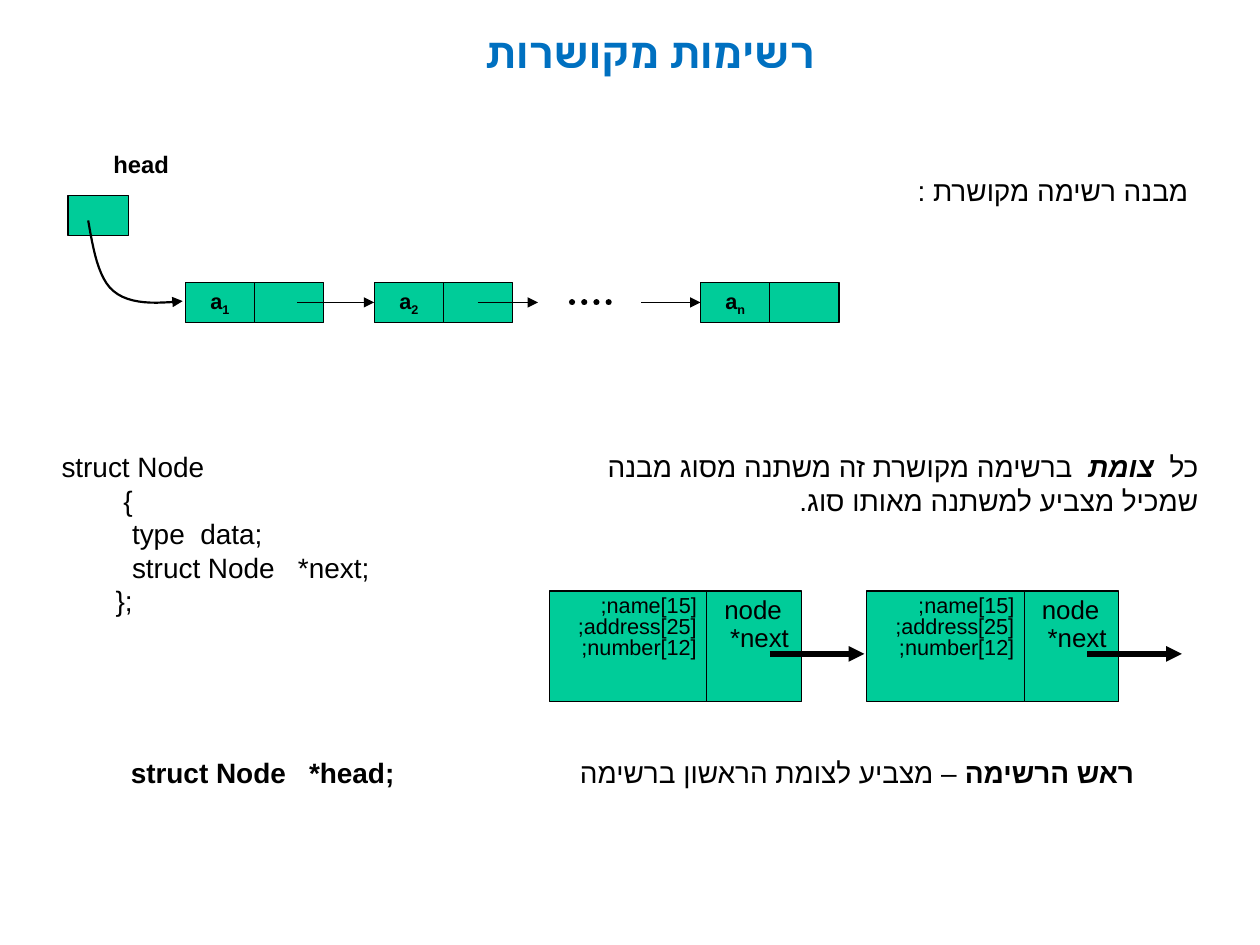
from lxml import etree
from pptx import Presentation
from pptx.dml.color import RGBColor
from pptx.enum import dml, shapes, text
from pptx.oxml import ns
from pptx.util import Inches, Pt

COLORS = {"title": "0070C0", "ink": "000000", "node": "00CC99"}
ALIGN = {"l": text.PP_ALIGN.LEFT, "c": text.PP_ALIGN.CENTER, "r": text.PP_ALIGN.RIGHT}
CELL_W, CELL_H, CELL_Y = 0.55, 0.32, 2.24
MID_Y = CELL_Y + CELL_H / 2


def color(name):
    return RGBColor.from_string(COLORS[name])


def format_run(r, size, font="Arial", ink="ink", bold=False):
    r.font.size, r.font.name, r.font.bold = Pt(size), font, bold
    r.font.color.rgb = color(ink)
    # Hebrew letters take the complex-script font
    etree.SubElement(r._r.get_or_add_rPr(), ns.qn("a:cs")).set("typeface", font)


def write(sp, lines, size, align="r", rtl=True, spacing=None, margins=(0.1, 0.05), **style):
    """Fill a shape; each line is a list of (text, is_bold) runs or a string."""
    tf = sp.text_frame
    tf.word_wrap = True
    tf.margin_left = tf.margin_right = Inches(margins[0])
    tf.margin_top = tf.margin_bottom = Inches(margins[1])
    for i, line in enumerate(lines):
        p = tf.add_paragraph() if i else tf.paragraphs[0]
        p.alignment = ALIGN[align]
        if rtl:
            p._p.get_or_add_pPr().set("rtl", "1")
        if spacing:
            p.line_spacing = spacing
        runs = [(line, style.get("bold", False))] if isinstance(line, str) else line
        for words, bold in runs:
            r = p.add_run()
            r.text = words
            format_run(r, size, **{**style, "bold": bold})
    return tf


def add_text(s, x, y, w, h, lines, size=16, **options):
    sp = s.shapes.add_textbox(Inches(x), Inches(y), Inches(w), Inches(h))
    return write(sp, lines, size, **options)


def add_box(s, x, y, w, h):
    sp = s.shapes.add_shape(shapes.MSO_SHAPE.RECTANGLE,
                            Inches(x), Inches(y), Inches(w), Inches(h))
    sp.shadow.inherit = False
    sp.fill.solid()
    sp.fill.fore_color.rgb = color("node")
    sp.line.color.rgb = color("ink")
    sp.line.width = Pt(0.75)
    sp.text_frame.vertical_anchor = text.MSO_ANCHOR.TOP
    return sp


def add_arrowhead(sp):
    etree.SubElement(sp.line._get_or_add_ln(), ns.qn("a:tailEnd")).set("type", "triangle")


def add_line(s, x1, x2, y, width=0.75, arrow=True, target=None):
    c = s.shapes.add_connector(shapes.MSO_CONNECTOR.STRAIGHT,
                               Inches(x1), Inches(y), Inches(x2), Inches(y))
    c.line.color.rgb = color("ink")
    c.line.width = Pt(width)
    etree.SubElement(c._element.spPr, ns.qn("a:effectLst"))
    if arrow:
        add_arrowhead(c)
    if target is not None:
        c.end_connect(target, 1)
    return c


def add_list_node(s, x, index):
    """Value cell with a subscript, then the pointer cell."""
    value = add_box(s, x, CELL_Y, CELL_W, CELL_H)
    tf = write(value, [[("a", True), (index, True)]], 12.4, align="c",
               spacing=0.8, margins=(0.09, 0.04))
    tf.vertical_anchor = text.MSO_ANCHOR.MIDDLE
    tf.paragraphs[0].runs[1].font._element.set("baseline", "-25000")
    add_box(s, x + CELL_W, CELL_Y, CELL_W, CELL_H)
    return value


def add_record(s, x):
    """Record with its fields, its next pointer and the arrow leaving it."""
    y, h = 4.69, 0.88
    write(add_box(s, x, y, 1.27, h), ["name[15];", "address[25];", "number[12];"],
          12.4, spacing=0.8)
    write(add_box(s, x + 1.25, y, 0.75, h), ["node   *next"], 14.8, spacing=0.9)
    add_line(s, x + 1.75, x + 2.5, y + 0.5, width=3)


def add_curve(s, start, *segments, steps=12):
    """Open curve through cubic segments, ending in an arrowhead."""
    points, p0 = [], start
    for p1, p2, p3 in segments:
        for t in (i / steps for i in range(1, steps + 1)):
            u = 1 - t
            points.append(tuple(
                Inches(u**3 * a + 3 * u * u * t * b + 3 * u * t * t * c + t**3 * d)
                for a, b, c, d in zip(p0, p1, p2, p3)))
        p0 = p3
    builder = s.shapes.build_freeform(Inches(start[0]), Inches(start[1]))
    builder.add_line_segments(points, close=False)
    sp = builder.convert_to_shape()
    sp.shadow.inherit = False
    sp.fill.background()
    sp.line.color.rgb = color("ink")
    sp.line.width = Pt(1.25)
    add_arrowhead(sp)


def add_linked_list(s):
    add_text(s, 0.47, 1.17, 0.96, 0.33, ["head"], 13.6, spacing=0.9,
             margins=(0.09, 0.04), bold=True)
    add_box(s, 0.54, 1.55, 0.48, CELL_H)
    add_list_node(s, 1.47, "1")
    second = add_list_node(s, 2.97, "2")
    last = add_list_node(s, 5.56, "n")
    add_line(s, 2.36, 2.97, MID_Y, target=second)
    add_line(s, 3.79, 4.27, MID_Y)
    add_line(s, 5.09, 5.56, MID_Y, target=last)
    # Dots for the skipped nodes
    dots = add_line(s, 4.54, 4.88, MID_Y, width=3.5, arrow=False)
    dots.line.dash_style = dml.MSO_LINE.ROUND_DOT
    dots.line._get_or_add_ln().set("cap", "rnd")
    # Pointer from head to the first node
    add_curve(s, (0.7, 1.75),
              ((0.74, 1.98), (0.78, 2.21), (0.9, 2.31)),
              ((1.03, 2.42), (1.24, 2.41), (1.45, 2.39)))


def add_struct_code(s):
    code = [("struct Node", 0), ("{", 0.49), ("type  data;", 0.56),
            ("struct Node   *next;", 0.56), ("};", 0.43)]
    tf = add_text(s, 0.39, 3.52, 3.44, 1.44, [line for line, _ in code],
                  align="l", rtl=False)
    for p, (_, indent) in zip(tf.paragraphs, code):
        p._p.get_or_add_pPr().set("marL", str(Inches(indent)))


def main():
    prs = Presentation()
    prs.slide_width, prs.slide_height = Inches(10), Inches(7.5)
    s = prs.slides.add_slide(prs.slide_layouts[6])

    # Title and list diagram
    add_text(s, 2.97, 0.16, 4.37, 0.5, ["רשימות מקושרות"], 24, align="c",
             font="Cabin", ink="title", bold=True)
    add_text(s, 6.17, 1.33, 3.36, 0.37, ["מבנה רשימה מקושרת :"])
    add_linked_list(s)

    # Node definition
    tf = add_text(s, 4.3, 3.52, 5.31, 0.64, [[
        ("כל  ", False), ("צומת ", True),
        (" ברשימה מקושרת זה משתנה מסוג מבנה שמכיל מצביע למשתנה מאותו סוג.", False)]])
    tf.paragraphs[0].runs[1].font.italic = True
    add_struct_code(s)
    for x in (4.36, 6.88):
        add_record(s, x)

    # Head of the list
    add_text(s, 3.79, 5.95, 5.31, 0.37, [[
        ("ראש הרשימה ", True), ("– מצביע לצומת הראשון ברשימה", False)]])
    add_text(s, 0.94, 5.95, 2.73, 0.37, ["struct Node   *head;"],
             align="l", rtl=False, bold=True)

    prs.save("out.pptx")


if __name__ == "__main__":
    main()
